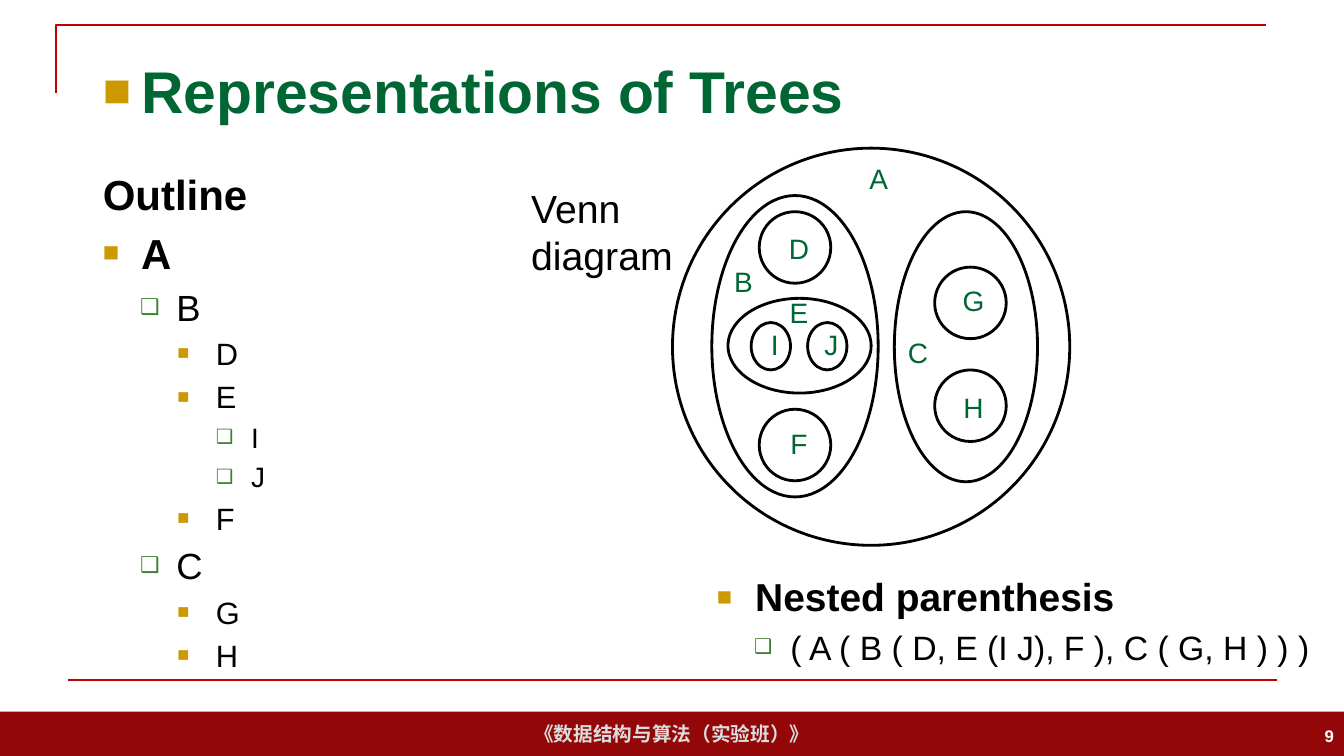
"""Builds the slide on three ways to represent a tree."""
import pptx
import pptx.dml.color
import pptx.enum.shapes
import pptx.enum.text
import pptx.oxml
import pptx.oxml.ns
import pptx.util

Inches = pptx.util.Inches
Color = pptx.dml.color.RGBColor
Align = pptx.enum.text.PP_ALIGN
Anchor = pptx.enum.text.MSO_ANCHOR
Shape = pptx.enum.shapes.MSO_SHAPE

BLACK = Color(0x00, 0x00, 0x00)
WHITE = Color(0xFF, 0xFF, 0xFF)
SILVER = Color(0xDD, 0xDD, 0xDD)
RED = Color(0xC0, 0x00, 0x00)
MAROON = Color(0x94, 0x07, 0x09)
GREEN = Color(0x00, 0x66, 0x33)
LEAF = Color(0x3B, 0x81, 0x2F)
GOLD = Color(0xCC, 0x99, 0x00)


def write(para, text, size, color, bold=False, align=Align.LEFT):
    para.alignment = align
    span = para.add_run()
    span.text = text
    span.font.name = "Arial"
    span.font.size = pptx.util.Pt(size)
    span.font.bold = bold
    span.font.color.rgb = color


def set_bullet(para, left, hanging, symbol="", color=None, percent=100):
    properties = para._p.get_or_add_pPr()
    properties.set("marL", str(Inches(left)))
    properties.set("indent", str(Inches(-hanging)))
    namespace = pptx.oxml.ns.nsdecls("a")
    if symbol:
        parts = [
            f'<a:buClr {namespace}><a:srgbClr val="{color}"/></a:buClr>',
            f'<a:buSzPct {namespace} val="{percent * 1000}"/>',
            f'<a:buFont {namespace} typeface="Arial"/>',
            f'<a:buChar {namespace} char="{symbol}"/>',
        ]
    else:
        parts = [f"<a:buNone {namespace}/>"]
    for part in parts:
        properties.append(pptx.oxml.parse_xml(part))


LEVEL_BULLETS = [
    (0.38, 0.38, "■", GOLD, 65),
    (0.73, 0.36, "❑", LEAF, 60),
    (1.12, 0.38, "■", GOLD, 65),
    (1.47, 0.35, "❑", LEAF, 70),
]
HEADING = -1

deck = pptx.Presentation()
deck.slide_width, deck.slide_height = Inches(13.33), Inches(7.5)
page = deck.slides.add_slide(deck.slide_layouts[3])
title, outline, nested = page.placeholders

footer = page.shapes.add_shape(Shape.RECTANGLE, 0, Inches(7.06), Inches(13.33), Inches(0.44))
footer.shadow.inherit = False
footer.fill.solid()
footer.fill.fore_color.rgb = MAROON
footer.line.fill.background()
footer.text_frame.word_wrap = False
footer.text_frame.vertical_anchor = Anchor.MIDDLE
write(footer.text_frame.paragraphs[0], "《数据结构与算法（实验班）》", 14, SILVER, True, Align.CENTER)

builder = page.shapes.build_freeform(Inches(0.56), Inches(0.92))
builder.add_line_segments([(Inches(0.56), Inches(0.25)), (Inches(12.56), Inches(0.25))], close=False)
corner = builder.convert_to_shape()
corner.shadow.inherit = False
corner.fill.background()
rule = page.shapes.add_connector(
    pptx.enum.shapes.MSO_CONNECTOR.STRAIGHT, Inches(0.67), Inches(6.75), Inches(12.67), Inches(6.75))
rule._element.spPr.append(pptx.oxml.parse_xml(f'<a:effectLst {pptx.oxml.ns.nsdecls("a")}/>'))
for stroke in (corner, rule):
    stroke.line.color.rgb = RED
    stroke.line.width = pptx.util.Pt(1.5)

for box, place, anchor in [
    (title, (0.92, 0.4, 11.5, 0.99), Anchor.MIDDLE),
    (outline, (0.92, 1.62, 11.5, 5.15), Anchor.TOP),
    (nested, (7.01, 5.56, 6.32, 1.18), Anchor.MIDDLE),
]:
    box.left, box.top, box.width, box.height = map(Inches, place)
    box.text_frame.auto_size = pptx.enum.text.MSO_AUTO_SIZE.NONE
    box.text_frame.vertical_anchor = anchor

heading = title.text_frame.paragraphs[0]
write(heading, "Representations of Trees", 42, GREEN, True)
set_bullet(heading, 0.38, 0.38, "■", GOLD, 80)

outline_lines = [
    ("Outline", HEADING), ("A", 0), ("B", 1), ("D", 2), ("E", 2), ("I", 3),
    ("J", 3), ("F", 2), ("C", 1), ("G", 2), ("H", 2),
]
nested_lines = [("Nested parenthesis", 0), ("( A ( B ( D, E (I J), F ), C ( G, H ) ) )", 1)]
for box, lines, sizes in [
    (outline, outline_lines, [30, 26, 22, 20]),
    (nested, nested_lines, [27.8, 24.1]),
]:
    for number, (text, level) in enumerate(lines):
        para = box.text_frame.add_paragraph() if number else box.text_frame.paragraphs[0]
        para.level = max(level, 0)
        write(para, text, sizes[para.level], BLACK, level <= 0)
        if level == HEADING:
            set_bullet(para, 0, 0)
        else:
            set_bullet(para, *LEVEL_BULLETS[level])

venn = page.shapes.add_group_shape()
for place in [
    (6.67, 1.47, 3.94, 3.94),
    (7.06, 1.94, 1.65, 2.99),
    (8.87, 2.1, 1.42, 2.68),
    (9.27, 2.65, 0.71, 0.71),
    (9.27, 3.67, 0.71, 0.71),
    (7.53, 2.1, 0.71, 0.71),
    (7.53, 4.06, 0.71, 0.71),
    (7.22, 2.96, 1.42, 0.94),
    (7.45, 3.2, 0.39, 0.47),
    (8.01, 3.2, 0.39, 0.47),
]:
    ring = venn.shapes.add_shape(Shape.OVAL, *map(Inches, place))
    ring.shadow.inherit = False
    ring.fill.background()
    ring.line.color.rgb = BLACK
    ring.line.width = pptx.util.Pt(2)

for letter, left, top in [
    ("A", 8.48, 1.55), ("B", 7.14, 2.57), ("D", 7.69, 2.25), ("E", 7.69, 2.88),
    ("F", 7.69, 4.18), ("I", 7.45, 3.2), ("J", 8.01, 3.2), ("C", 8.87, 3.28),
    ("G", 9.42, 2.76), ("H", 9.42, 3.83),
]:
    label = venn.shapes.add_textbox(Inches(left), Inches(top), Inches(0.47), Inches(0.44))
    label.text_frame.word_wrap = True
    write(label.text_frame.paragraphs[0], letter, 20, GREEN, align=Align.CENTER)

caption = page.shapes.add_textbox(Inches(5.17), Inches(1.78), Inches(3.15), Inches(1.17))
caption.text_frame.word_wrap = True
write(caption.text_frame.paragraphs[0], "Venn", 28, BLACK)
write(caption.text_frame.add_paragraph(), "diagram", 28, BLACK)

page_number = page.shapes.add_textbox(Inches(10.33), Inches(7.1), Inches(3), Inches(0.4))
page_number.text_frame.word_wrap = True
page_number.text_frame.vertical_anchor = Anchor.MIDDLE
write(page_number.text_frame.paragraphs[0], "9", 12, WHITE, True, Align.RIGHT)

deck.save("out.pptx")
